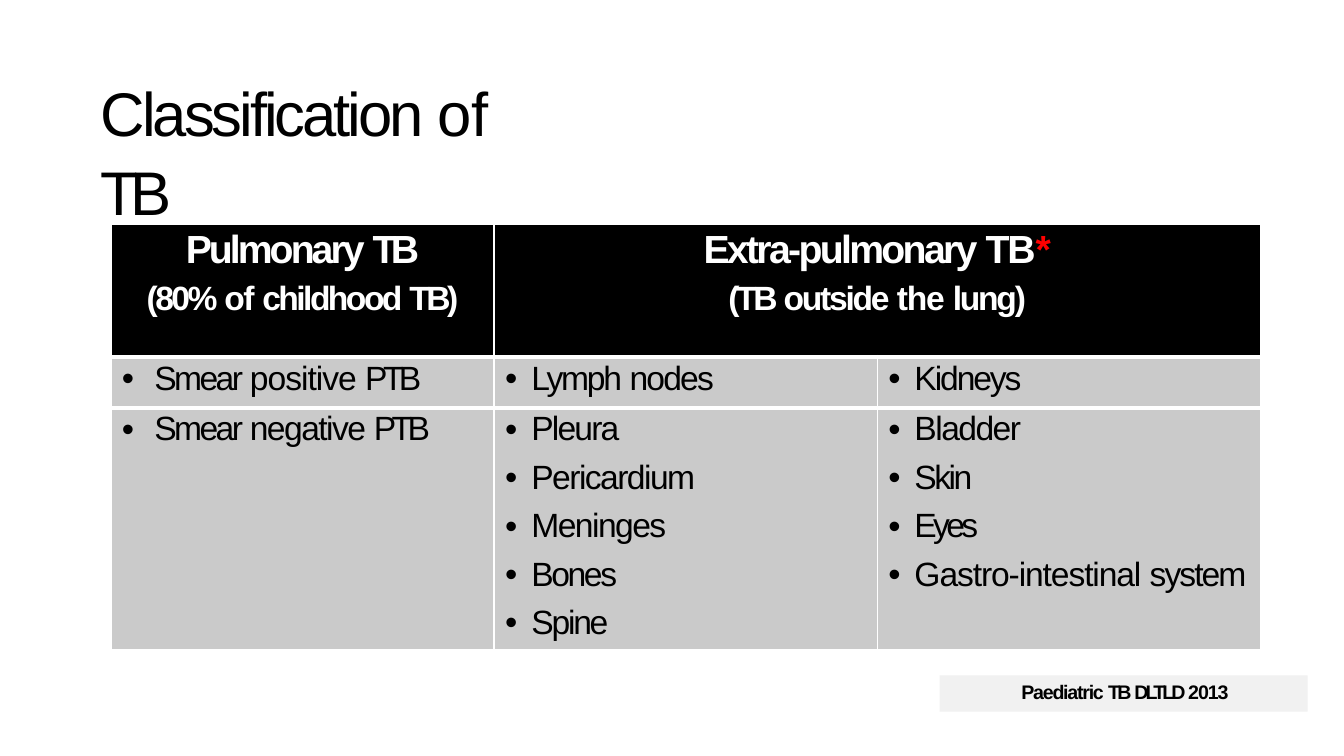
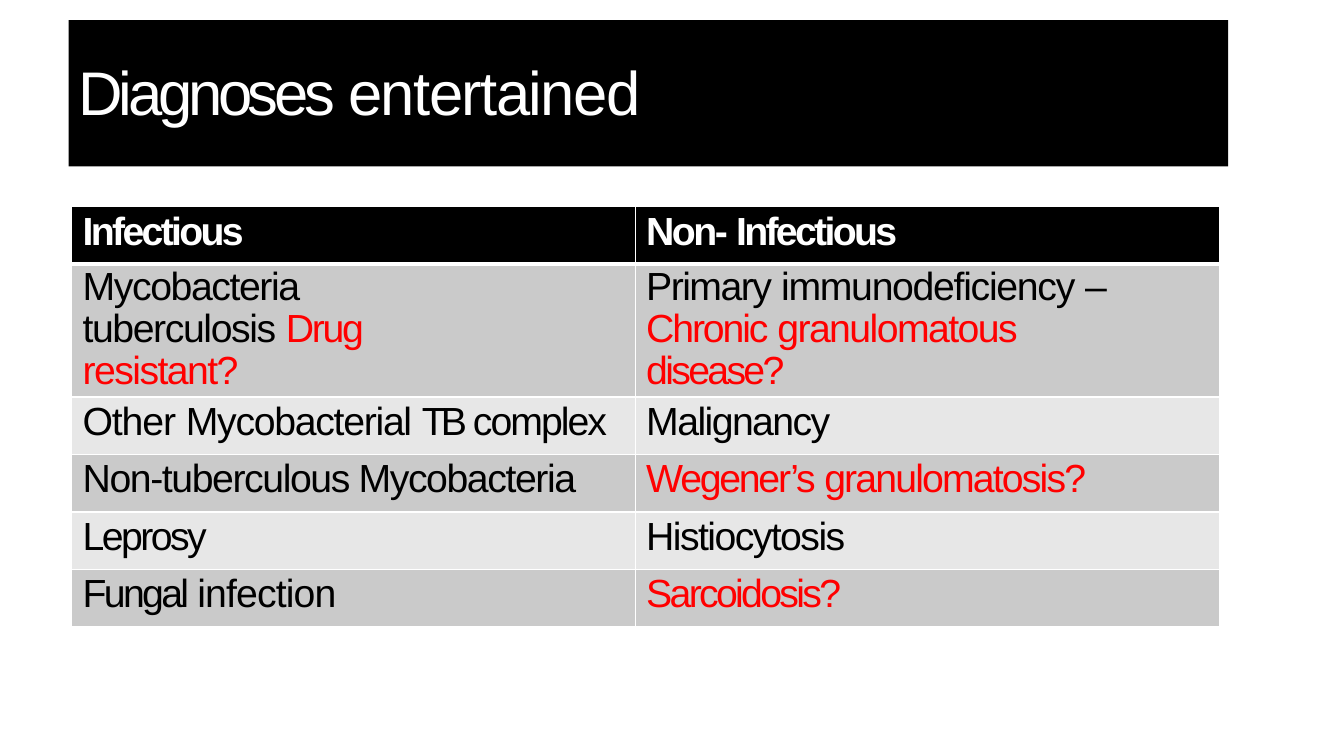
from dataclasses import dataclass
from typing import NamedTuple

from lxml.etree import SubElement
from pptx import Presentation
from pptx.dml.color import RGBColor
from pptx.enum.shapes import MSO_SHAPE
from pptx.enum.text import MSO_ANCHOR, MSO_AUTO_SIZE, PP_ALIGN
from pptx.oxml.ns import qn
from pptx.util import Pt

PX = 9144  # 100 px to the inch
FONT = "Arial"
HEX = {
    "black": "000000", "white": "FFFFFF", "red": "FF0000",
    "mid": "CACACA", "pale": "E7E7E7", "foot": "F1F1F1",
}


class Box(NamedTuple):
    left: int
    top: int
    width: int
    height: int


class Bit(NamedTuple):
    """A run; gap is the letter spacing in points."""
    text: str
    gap: float = 0
    color: str = ""


@dataclass
class Para:
    bits: list[Bit]
    size: int
    color: str = "black"
    bold: bool = False
    left: int = 0
    hang: int = 0
    before: float = 0
    line: float | Pt | None = None
    center: bool = False


@dataclass
class Cell:
    paras: list[Para]
    fill: str
    top: int = 3
    right: int = 0
    over: float = 0
    under: float = 0


def rgb(name: str) -> RGBColor:
    return RGBColor.from_string(HEX[name])


def emu(box: Box) -> list[int]:
    return [side * PX for side in box]


def write(frame, paras: list[Para]) -> None:
    for i, para in enumerate(paras):
        p = frame.add_paragraph() if i else frame.paragraphs[0]
        p.alignment = PP_ALIGN.CENTER if para.center else PP_ALIGN.LEFT
        p.space_before = Pt(para.before)
        if para.line:
            p.line_spacing = para.line
        props = p._p.get_or_add_pPr()
        props.set("marL", str(para.left * PX))
        props.set("indent", str(-para.hang * PX))
        if para.hang:
            SubElement(props, qn("a:buSzPct"), val="104000")
            SubElement(props, qn("a:buFont"), typeface=FONT)
            SubElement(props, qn("a:buChar"), char="•")
        for bit in para.bits:
            run = p.add_run()
            run.text = bit.text
            font = run.font
            font.name, font.size, font.bold = FONT, Pt(para.size), para.bold
            font.color.rgb = rgb(bit.color or para.color)
            run._r.get_or_add_rPr().set("spc", str(round(bit.gap * 100)))


def fit(shape, top: int, paras: list[Para]) -> None:
    """Fill a shape's text frame, set from the top with one inset."""
    frame = shape.text_frame
    frame.auto_size, frame.word_wrap = MSO_AUTO_SIZE.NONE, True
    frame.vertical_anchor = MSO_ANCHOR.TOP
    frame.margin_left = frame.margin_right = frame.margin_bottom = 0
    frame.margin_top = top * PX
    write(frame, paras)


def title(slide, box: Box, top: int, para: Para, fill: str = "") -> None:
    shape = slide.shapes.title
    shape.left, shape.top, shape.width, shape.height = emu(box)
    if fill:
        shape.fill.solid()
        shape.fill.fore_color.rgb = rgb(fill)
    fit(shape, top, [para])


def footer(slide, box: Box, para: Para) -> None:
    shape = slide.shapes.add_shape(MSO_SHAPE.RECTANGLE, *emu(box))
    shape.shadow.inherit = False
    shape.fill.solid()
    shape.fill.fore_color.rgb = rgb("foot")
    shape.line.fill.background()
    fit(shape, 5, [para])


def edge(props, side: str, width: float) -> None:
    line = SubElement(props, qn(f"a:ln{side}"), w=str(Pt(width)))
    if width:
        fill = SubElement(line, qn("a:solidFill"))
        SubElement(fill, qn("a:srgbClr"), val=HEX["white"])
    else:
        SubElement(line, qn("a:noFill"))


def paint(target, cell: Cell) -> None:
    target.margin_left = target.margin_bottom = 0
    target.margin_right, target.margin_top = cell.right * PX, cell.top * PX
    props = target._tc.get_or_add_tcPr()
    for side, width in zip("LRTB", (1, 1, cell.over, cell.under)):
        edge(props, side, width)
    target.fill.solid()
    target.fill.fore_color.rgb = rgb(cell.fill)
    write(target.text_frame, cell.paras)


def grid(slide, left: int, top: int, cols: list[int], rows: list[int],
         cells: list[list[Cell]]):
    box = Box(left, top, sum(cols), sum(rows))
    table = slide.shapes.add_table(len(rows), len(cols), *emu(box)).table
    table.first_row = table.horz_banding = False
    for col, width in zip(table.columns, cols):
        col.width = width * PX
    for row, height in zip(table.rows, rows):
        row.height = height * PX
    for r, line in enumerate(cells):
        for c, cell in enumerate(line):
            paint(table.cell(r, c), cell)
    return table


def name(bits: list[Bit], color: str) -> Para:
    return Para(bits, 44, color, line=1.08)


def head(main: list[Bit], sub: list[Bit]) -> Cell:
    return Cell([
        Para(main, 28, "white", True, center=True),
        Para(sub, 24, "white", True, before=6.2, center=True),
    ], "black", over=1, under=3)


def item(bits: list[Bit], row: int, col: int, last: int) -> Cell:
    """A bulleted cell; only the first row is ruled off from the next."""
    left, hang = (37, 26) if col else (43, 32)
    first = row == 0
    para = Para(bits, 24, left=left, hang=hang,
                line=None if first else Pt(28.4))
    return Cell([para] if bits else [], "mid", 3 if first else 0,
                over=3 if row < 2 else 0,
                under=3 if first else int(row == last))


def classes(deck) -> None:
    slide = deck.slides.add_slide(deck.slide_layouts[5])
    title(slide, Box(100, 67, 462, 76), 1, name([
        Bit("Classification ", -2.2), Bit("of ", -0.3), Bit("TB", -5.8),
    ], "black"))
    lists = [
        [[Bit("Smear ", -1.8), Bit("positive ", -0.7), Bit("PTB", -3.3)],
         [Bit("Lymph", -1.6), Bit(" nodes", -1.3)],
         [Bit("Kidneys", -1.5)]],
        [[Bit("Smear ", -1.8), Bit("negative ", -1.1), Bit("PTB", -3.3)],
         [Bit("Pleura", -1.3)], [Bit("Bladder", -1.1)]],
        [[], [Bit("Pericardium", -1.1)], [Bit("Skin", -1.8)]],
        [[], [Bit("Meninges", -1.1)], [Bit("Eyes", -2.6)]],
        [[], [Bit("Bones", -1.7)],
         [Bit("Gastro-intestinal ", -0.8), Bit("system", -1.4)]],
        [[], [Bit("Spine", -1.6)], []],
    ]
    lung = head(
        [Bit("Pulmonary ", -2.1), Bit("TB", -4)],
        [Bit("(80% ", -1.8), Bit("of ", -1.1), Bit("childhood ", -1.8),
         Bit("TB)", -2.5)])
    extra = head(
        [Bit("Extra-pulmonary ", -1.9), Bit("TB", -1.6),
         Bit("*", -1.6, "red")],
        [Bit("(TB ", -2.4), Bit("outside ", -1.6), Bit("the ", -0.9),
         Bit("lung)", -1.6)])
    body = [[item(bits, r, c, len(lists) - 1) for c, bits in enumerate(row)]
            for r, row in enumerate(lists)]
    blank = Cell([], "black", over=1, under=3)
    table = grid(slide, 110, 223, [380] * 3, [131, 51] + [48] * 5,
                 [[lung, extra, blank]] + body)
    table.cell(0, 1).merge(table.cell(0, 2))
    footer(slide, Box(932, 670, 365, 36), Para([
        Bit("Paediatric ", -0.9), Bit("TB ", -1.9), Bit("DLTLD ", -2.1),
        Bit("2013", -0.8),
    ], 14, bold=True, left=81))


def causes(deck) -> None:
    slide = deck.slides.add_slide(deck.slide_layouts[5])
    title(slide, Box(68, 20, 1150, 145), 28, Para(
        [Bit("Diagnoses ", -3.1), Bit("entertained", -1.2)],
        44, "white", left=10, line=1.08), "black")
    lists = [
        [[Bit("Infectious", -1.9)],
         [Bit("Non- ", -1.8), Bit("Infectious", -1.9)]],
        [[Bit("Mycobacteria tuberculosis ", -1), Bit("Drug ", -1.6, "red"),
          Bit("resistant?", -1.1, "red")],
         [Bit("Primary ", -1.1), Bit("immunodeficiency ", -0.9),
          Bit("– ", -1.6), Bit("Chronic ", -1.5, "red"),
          Bit("granulomatous ", -1.1, "red"), Bit("disease?", -1.9, "red")]],
        [[Bit("Other ", -0.8), Bit("Mycobacterial ", -0.9),
          Bit("TB ", -3.5), Bit("complex", -1.4)],
         [Bit("Malignancy", -1.1)]],
        [[Bit("Non-tuberculous Mycobacteria", -1)],
         [Bit("Wegener’s ", -1.6, "red"),
          Bit("granulomatosis?", -1.3, "red")]],
        [[Bit("Leprosy", -1.8)], [Bit("Histiocytosis", -1.1)]],
        [[Bit("Fungal ", -1.9), Bit("infection", -0.6)],
         [Bit("Sarcoidosis?", -1.9, "red")]],
    ]
    cells = []
    for r, row in enumerate(lists):
        top, long = r == 0, r == 1
        fill = "black" if top else ("pale", "mid")[r % 2]
        cells.append([
            Cell([Para(bits, 28, "white" if top else "black", top, 11,
                       line=0.96 if long else None)],
                 fill, right=right if long else 0,
                 over=3 if long else 1, under=3 if top else 1)
            for bits, right in zip(row, (205, 85))])
    grid(slide, 71, 205, [559, 580], [57, 132] + [57] * 4, cells)


def main() -> None:
    deck = Presentation()
    deck.slide_width, deck.slide_height = 1333 * PX, 750 * PX
    classes(deck)
    causes(deck)
    deck.save("out.pptx")


if __name__ == "__main__":
    main()
